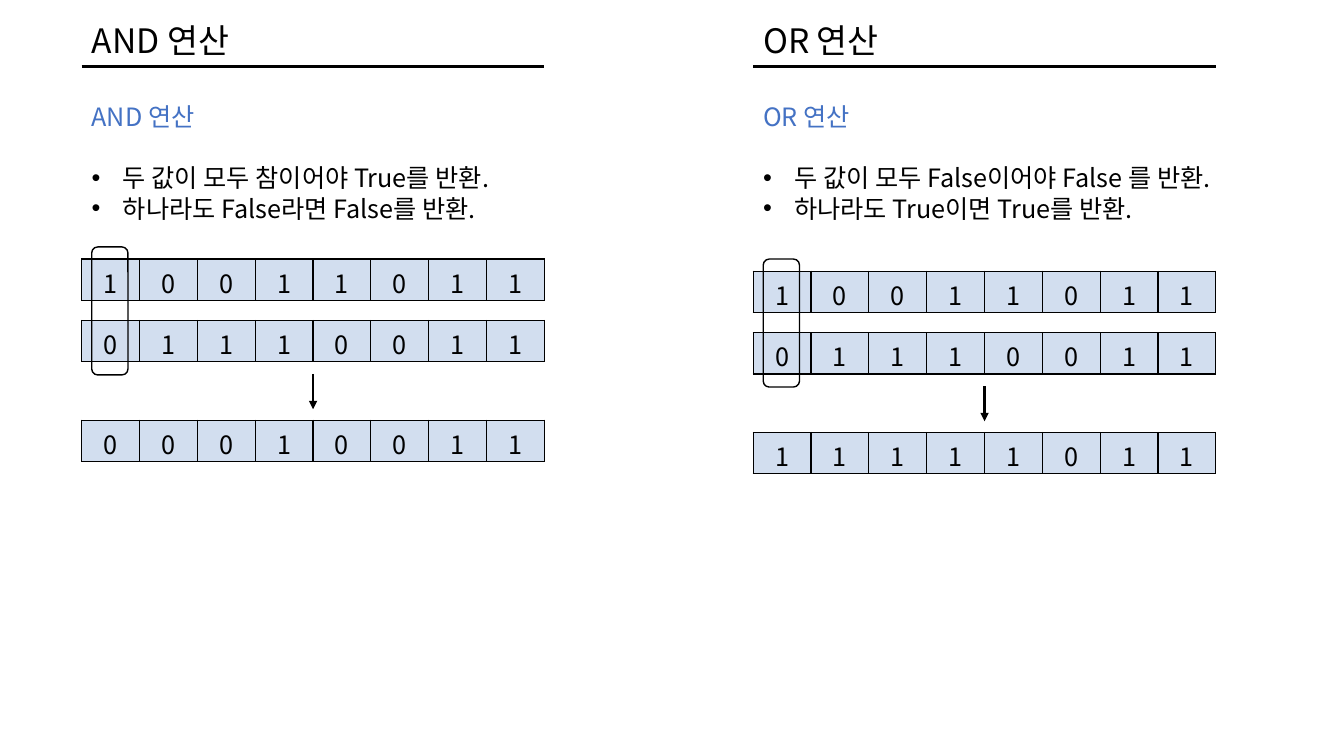
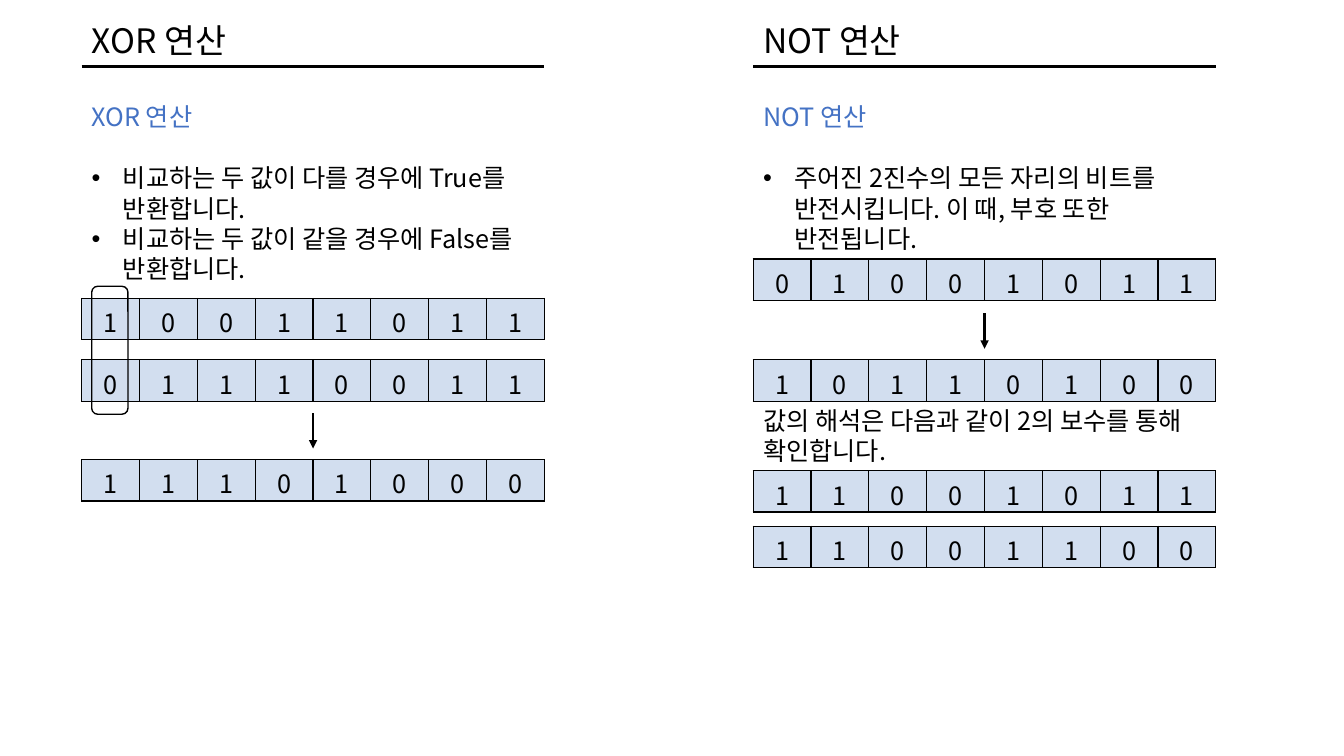
import pptx
import pptx.dml.color
import pptx.enum.shapes
import pptx.enum.text
import pptx.oxml.ns
import pptx.util
from lxml import etree
from pptx.util import Inches

FONT = "Noto Sans CJK KR"
BLACK, BLUE, PALE_BLUE = "000000", "4472C4", "D2DEEF"
LEFT, RIGHT = 0.81, 7.47
PANEL_WIDTH = 4.59
ROW_HEIGHT = 0.41
FIRST_INPUT, SECOND_INPUT = "10011011", "01110011"


def color(hex_value):
    return pptx.dml.color.RGBColor.from_string(hex_value)


def add_xml(parent, tag, **attributes):
    return etree.SubElement(parent, pptx.oxml.ns.qn(tag), attributes)


class Deck:
    def __init__(self):
        self.presentation = pptx.Presentation()
        self.presentation.slide_width = Inches(13.33)
        self.presentation.slide_height = Inches(7.5)

    def new_slide(self):
        self.slide = self.presentation.slides.add_slide(
            self.presentation.slide_layouts[5])
        self.title_free = True

    def style(self, paragraph, size=18, hex_value=BLACK,
              align=pptx.enum.text.PP_ALIGN.LEFT):
        paragraph.alignment = align
        font = paragraph.font
        font.size = pptx.util.Pt(size)
        font.name = FONT
        font.color.rgb = color(hex_value)
        # East Asian face for the Hangul
        add_xml(paragraph._p.pPr.find(pptx.oxml.ns.qn("a:defRPr")),
                "a:ea", typeface=FONT)

    def text_box(self, x, y, width, height):
        return self.slide.shapes.add_textbox(
            Inches(x), Inches(y), Inches(width), Inches(height))

    def title(self, x, text, width):
        """The first title on a slide fills the placeholder."""
        if self.title_free:
            heading = self.slide.shapes.title
            heading.left, heading.top = Inches(x), Inches(0.15)
            heading.width, heading.height = Inches(width), Inches(0.5)
            self.title_free = False
        else:
            heading = self.text_box(x, 0.15, width, 0.5)
        frame = heading.text_frame
        frame.text = text
        frame.word_wrap = False
        frame.auto_size = pptx.enum.text.MSO_AUTO_SIZE.SHAPE_TO_FIT_TEXT
        frame.vertical_anchor = pptx.enum.text.MSO_ANCHOR.TOP
        self.style(frame.paragraphs[0], size=24)
        self.line((x, 0.66), (x + PANEL_WIDTH, 0.66))

    def line(self, start, end, arrow=False):
        connector = self.slide.shapes.add_connector(
            pptx.enum.shapes.MSO_CONNECTOR.STRAIGHT,
            *(Inches(length) for length in start + end))
        connector.line.color.rgb = color(BLACK)
        connector.line.width = pptx.util.Pt(2)
        if arrow:
            add_xml(connector.line._get_or_add_ln(), "a:tailEnd",
                    type="triangle")
        add_xml(connector._element.spPr, "a:effectLst")

    def paragraphs(self, x, y, height, lines):
        frame = self.text_box(x, y, PANEL_WIDTH, height).text_frame
        frame.word_wrap = True
        frame.text = "\n".join(lines)
        return frame.paragraphs

    def note(self, x, y, text):
        self.style(self.paragraphs(x, y, 0.71, [text])[0])

    def description(self, x, heading, points, height):
        first, *bullets = self.paragraphs(x, 0.96, height, [heading, *points])
        self.style(first, hex_value=BLUE)
        for bullet in bullets:
            properties = bullet._p.get_or_add_pPr()
            properties.set("marL", str(Inches(0.31)))
            properties.set("indent", str(-Inches(0.31)))
            add_xml(properties, "a:buFont", typeface="Arial")
            add_xml(properties, "a:buChar", char="•")
            self.style(bullet)
        bullets[0].space_before = pptx.util.Pt(22)

    def bits(self, x, y, digits):
        table = self.slide.shapes.add_table(
            1, len(digits), Inches(x), Inches(y),
            Inches(PANEL_WIDTH), Inches(ROW_HEIGHT)).table
        table.first_row = table.horz_banding = False
        for column, cell, digit in zip(table.columns, table.iter_cells(), digits):
            column.width = Inches(PANEL_WIDTH / len(digits))
            cell.text = digit
            self.style(cell.text_frame.paragraphs[0],
                       align=pptx.enum.text.PP_ALIGN.CENTER)
            self.borders(cell)
            cell.fill.solid()
            cell.fill.fore_color.rgb = color(PALE_BLUE)

    def borders(self, cell):
        properties = cell._tc.get_or_add_tcPr()
        for side in ("a:lnL", "a:lnR", "a:lnT", "a:lnB"):
            border = add_xml(properties, side, w=str(pptx.util.Pt(1)))
            add_xml(add_xml(border, "a:solidFill"), "a:srgbClr", val=BLACK)

    def result(self, x, y, digits):
        """Result row with the arrow that leads to it."""
        self.bits(x, y, digits)
        middle = x + PANEL_WIDTH / 2
        self.line((middle, y - 0.46), (middle, y - 0.11), arrow=True)

    def bit_marker(self, x, y):
        marker = self.slide.shapes.add_shape(
            pptx.enum.shapes.MSO_SHAPE.ROUNDED_RECTANGLE,
            Inches(x), Inches(y), Inches(0.36), Inches(1.27))
        marker.shadow.inherit = False
        marker.fill.background()
        marker.line.color.rgb = color(BLACK)
        marker.line.width = pptx.util.Pt(1)

    def panel(self, x, name, title_width, points, height):
        heading = f"{name} 연산"
        self.title(x, heading, title_width)
        self.description(x, heading, points, height)

    def two_input_example(self, x, y, digits):
        self.bits(x, y, FIRST_INPUT)
        self.bits(x, y + 0.61, SECOND_INPUT)
        self.result(x, y + 1.6, digits)
        self.bit_marker(x + 0.1, y - 0.12)


def main():
    deck = Deck()

    # AND and OR
    deck.new_slide()
    deck.panel(LEFT, "AND", 1.7, [
        "두 값이 모두 참이어야 True를 반환.",
        "하나라도 False라면 False를 반환."], 1.31)
    deck.two_input_example(LEFT, 2.57, "00010011")
    deck.panel(RIGHT, "OR", 1.45, [
        "두 값이 모두 False이어야 False 를 반환.",
        "하나라도 True이면 True를 반환."], 1.62)
    deck.two_input_example(RIGHT, 2.69, "11111011")

    # XOR and NOT
    deck.new_slide()
    deck.panel(LEFT, "XOR", 1.65, [
        "비교하는 두 값이 다를 경우에 True를 반환합니다.",
        "비교하는 두 값이 같을 경우에 False를 반환합니다."], 1.92)
    deck.two_input_example(LEFT, 2.96, "11101000")
    deck.panel(RIGHT, "NOT", 1.66, [
        "주어진 2진수의 모든 자리의 비트를 반전시킵니다. "
        "이 때, 부호 또한 반전됩니다."], 1.62)
    deck.bits(RIGHT, 2.57, "01001011")
    deck.result(RIGHT, 3.57, "10110100")

    # Reading the value by two's complement
    deck.note(RIGHT, 3.97, "값의 해석은 다음과 같이 2의 보수를 통해 확인합니다.")
    deck.bits(RIGHT, 4.67, "11001011")
    deck.bits(RIGHT, 5.22, "11001100")

    deck.presentation.save("out.pptx")


if __name__ == "__main__":
    main()
